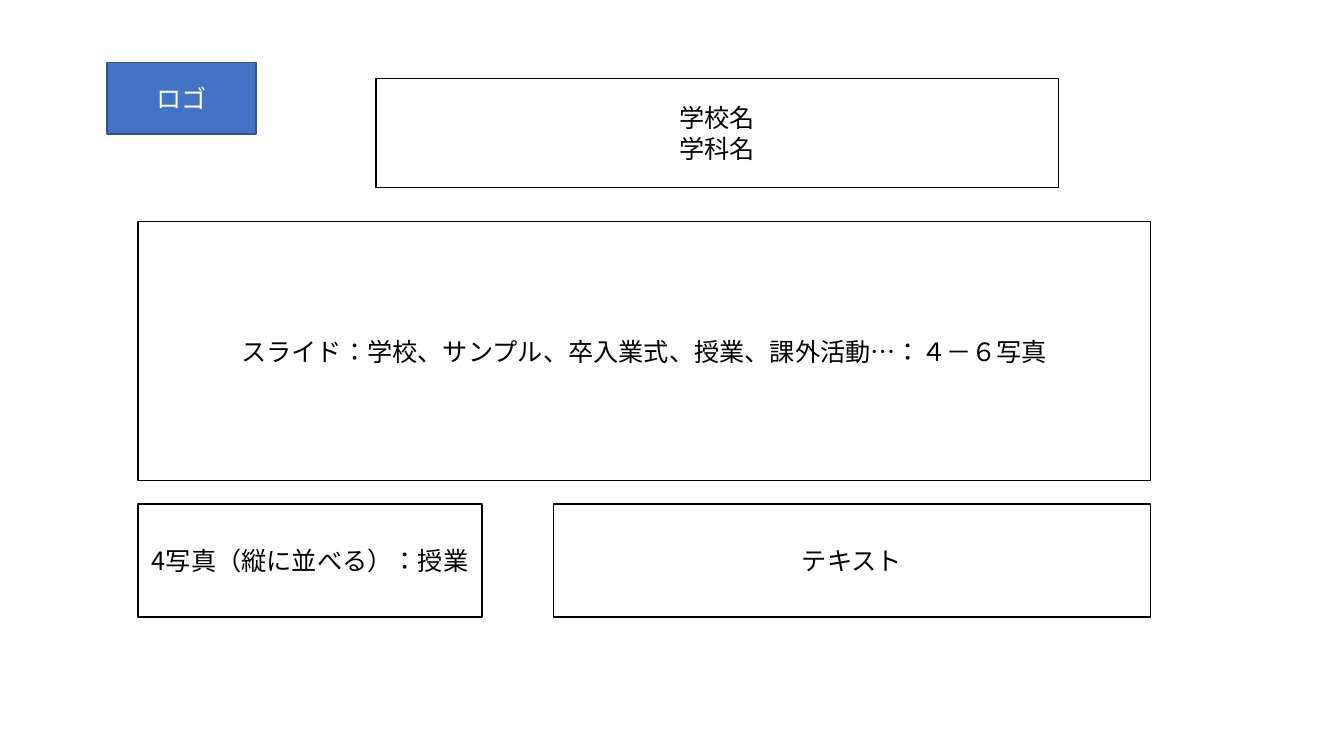
from dataclasses import dataclass

from lxml import etree
from pptx import Presentation
from pptx.dml.color import RGBColor
from pptx.enum.lang import MSO_LANGUAGE_ID
from pptx.enum.shapes import MSO_SHAPE
from pptx.enum.text import MSO_ANCHOR, MSO_AUTO_SIZE, PP_ALIGN
from pptx.oxml.ns import qn
from pptx.util import Inches, Pt

RECTANGLE = MSO_SHAPE.RECTANGLE
MIDDLE = MSO_ANCHOR.MIDDLE
NO_AUTOFIT = MSO_AUTO_SIZE.NONE
CENTER = PP_ALIGN.CENTER
JAPANESE = MSO_LANGUAGE_ID.JAPANESE

FONT = "Noto Sans CJK JP"
BLACK, WHITE = "000000", "FFFFFF"
LOGO_BLUE, LOGO_EDGE = "4472C4", "325491"

# Shared edges of the content area
LEFT, WIDTH = 1.37, 10.04
PHOTOS_WIDTH, GAP = 3.41, 0.71
LOWER_TOP, LOWER_HEIGHT = 5.0, 1.12
TEXT_OFFSET = PHOTOS_WIDTH + GAP


@dataclass
class Area:
    lines: list[str]
    left: float
    top: float
    width: float
    height: float
    fill: str = WHITE
    edge: str = BLACK
    ink: str = BLACK
    is_title: bool = False


AREAS = [
    Area(["ロゴ"], 1.06, 0.62, 1.48, 0.71, LOGO_BLUE, LOGO_EDGE, WHITE),
    Area(["学校名", "学科名"], 3.73, 0.78, 6.77, 1.08, is_title=True),
    Area(["スライド：学校、サンプル、卒入業式、授業、課外活動…：４－６写真"],
         LEFT, 2.2, WIDTH, 2.57),
    Area(["4写真（縦に並べる）：授業"],
         LEFT, LOWER_TOP, PHOTOS_WIDTH, LOWER_HEIGHT),
    Area(["テキスト"],
         LEFT + TEXT_OFFSET, LOWER_TOP, WIDTH - TEXT_OFFSET, LOWER_HEIGHT),
]


def color(value: str) -> RGBColor:
    return RGBColor.from_string(value)


def write_lines(frame, lines: list[str], ink: str) -> None:
    frame.word_wrap = True
    frame.auto_size = NO_AUTOFIT
    frame.vertical_anchor = MIDDLE
    for index, line in enumerate(lines):
        paragraph = frame.add_paragraph() if index else frame.paragraphs[0]
        paragraph.alignment = CENTER
        paragraph.line_spacing = 1.0
        run = paragraph.add_run()
        run.text = line
        run.font.size = Pt(18)
        run.font.name = FONT
        run.font.language_id = JAPANESE
        run.font.color.rgb = color(ink)
        # East Asian typeface
        properties = run.font._element
        etree.SubElement(properties, qn("a:ea")).set("typeface", FONT)


def draw_area(slide, area: Area) -> None:
    box = [Inches(n) for n in (area.left, area.top, area.width, area.height)]
    if area.is_title:
        block = slide.shapes.title
        block.left, block.top, block.width, block.height = box
    else:
        block = slide.shapes.add_shape(RECTANGLE, *box)
        block.shadow.inherit = False
    block.fill.solid()
    block.fill.fore_color.rgb = color(area.fill)
    block.line.color.rgb = color(area.edge)
    block.line.width = Pt(1)
    write_lines(block.text_frame, area.lines, area.ink)


# Slide with a title-only layout
deck = Presentation()
deck.slide_width, deck.slide_height = Inches(13.33), Inches(7.5)
page = deck.slides.add_slide(deck.slide_layouts[5])

# Areas of the page plan
for area in AREAS:
    draw_area(page, area)

deck.save("out.pptx")
